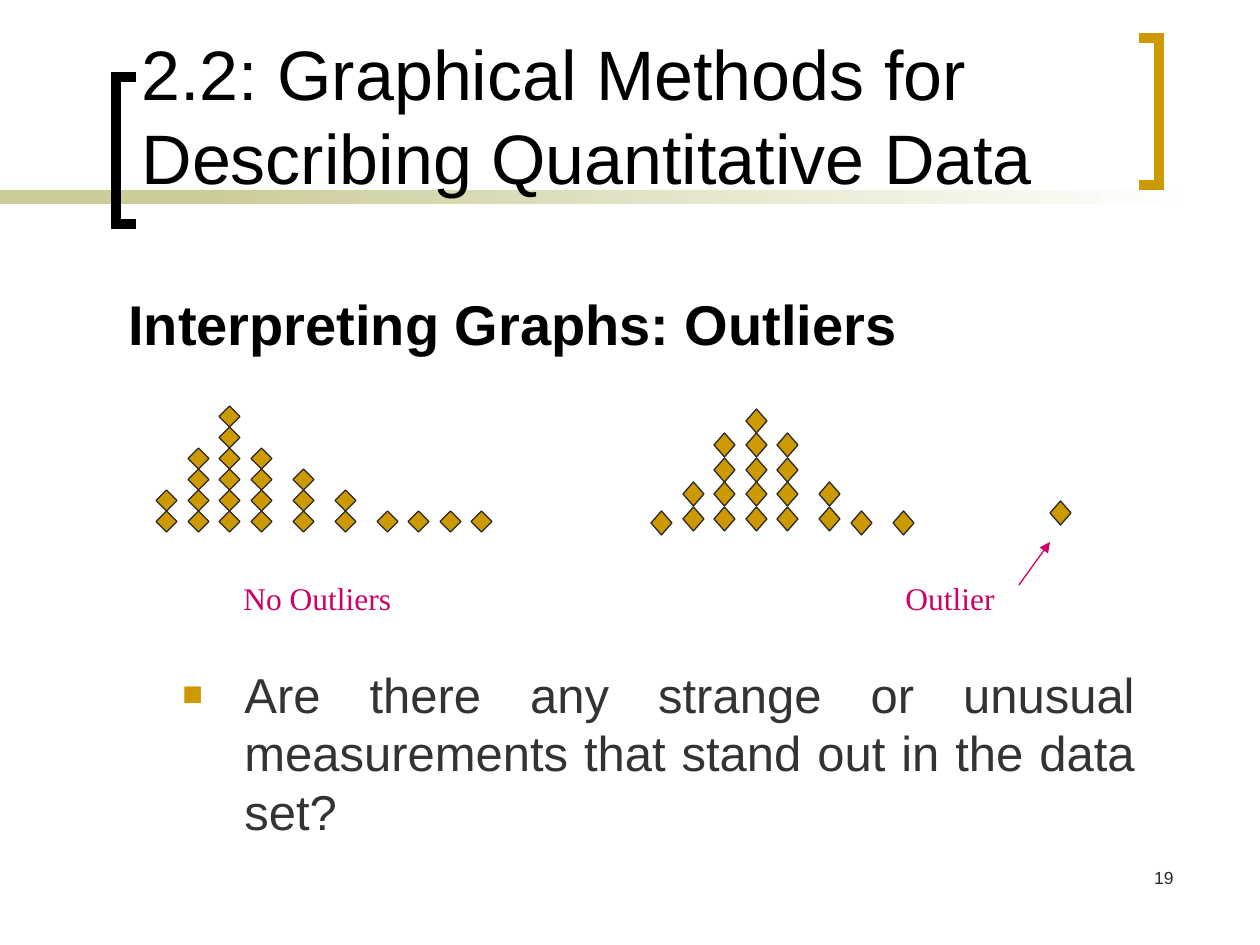
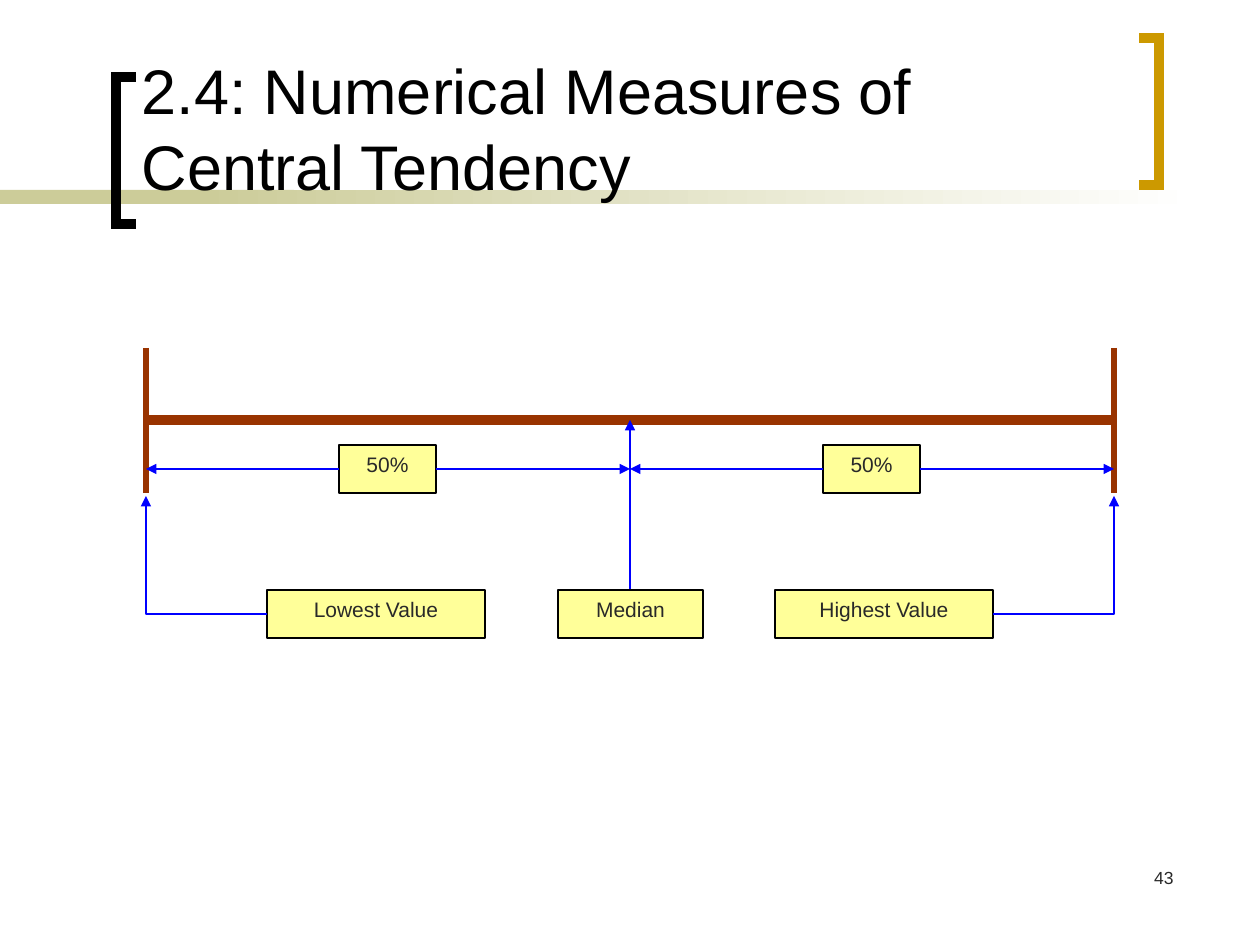
from lxml import etree
from pptx import Presentation
from pptx import util as u
from pptx.dml.color import RGBColor
from pptx.enum import shapes, text
from pptx.oxml import ns

PX = 914400 / 126

BLACK = RGBColor(0x00, 0x00, 0x00)
WHITE = RGBColor(0xFF, 0xFF, 0xFF)
CHARCOAL = RGBColor(0x29, 0x29, 0x29)
GREY = RGBColor(0x33, 0x33, 0x33)
GOLD = RGBColor(0xCC, 0x99, 0x00)
SAND = RGBColor(0xCC, 0xCC, 0x99)
YELLOW = RGBColor(0xFF, 0xFF, 0x99)
MAGENTA = RGBColor(0xCC, 0x00, 0x66)
BROWN = RGBColor(0x99, 0x33, 0x00)
BLUE = RGBColor(0x00, 0x00, 0xFF)

LEFT, CENTER, RIGHT, JUSTIFY = (
    text.PP_ALIGN.LEFT, text.PP_ALIGN.CENTER, text.PP_ALIGN.RIGHT, text.PP_ALIGN.JUSTIFY)
TOP, BOTTOM = text.MSO_ANCHOR.TOP, text.MSO_ANCHOR.BOTTOM
RECTANGLE, DIAMOND = shapes.MSO_SHAPE.RECTANGLE, shapes.MSO_SHAPE.DIAMOND


def emu(*lengths):
    return [u.Emu(round(length * PX)) for length in lengths]


def add_element(parent, tag, **attributes):
    return etree.SubElement(parent, ns.qn(tag), attributes)


class Deck:
    font = "Arial"

    def __init__(self):
        self.presentation = Presentation()
        self.presentation.slide_width = u.Inches(10)
        self.presentation.slide_height = u.Inches(7.5)
        self.slide = None

    def start_slide(self, title_lines, title_top, title_size, number):
        layout = self.presentation.slide_layouts[5]
        self.slide = self.presentation.slides.add_slide(layout)
        self.shape(RECTANGLE, (0, 190, 294, 14), SAND)
        fade = self.shape(RECTANGLE, (199, 190, 998, 14), SAND)
        fade.fill.gradient()
        fade.fill.gradient_angle = 0
        for stop, color, position in zip(fade.fill.gradient_stops, (SAND, WHITE), (0, 1)):
            stop.color.rgb = color
            stop.position = position
        self.bracket(136, 116, 77, 224, BLACK)
        self.bracket(1139, 1159, 38, 185, GOLD)

        title = self.slide.shapes.title
        title.left, title.top, title.width, title.height = emu(129, title_top, 987, 195)
        self.set_text(title, title_lines, title_size, BLACK, anchor=BOTTOM)
        # The title is read and drawn above the band
        self.slide.shapes._spTree.append(title._element)
        self.text((924, 861, 262, 63), number, 10, CHARCOAL, align=RIGHT)

    def set_text(self, shape, lines, size, color, align=LEFT, anchor=TOP, bold=False, font=None):
        frame = shape.text_frame
        frame.word_wrap = True
        frame.auto_size = text.MSO_AUTO_SIZE.NONE
        frame.vertical_anchor = anchor
        frame.margin_left = frame.margin_right = u.Inches(0.1)
        frame.margin_top = frame.margin_bottom = u.Inches(0.05)
        paragraph = frame.paragraphs[0]
        paragraph.alignment = align
        for index, line in enumerate(lines.split("\n")):
            if index:
                paragraph.add_line_break()
            run = paragraph.add_run()
            run.text = line
            run.font.name = font or self.font
            run.font.size = u.Pt(size)
            run.font.bold = bold
            run.font.color.rgb = color
        return paragraph

    def text(self, box, lines, size, color, **style):
        shape = self.slide.shapes.add_textbox(*emu(*box))
        return self.set_text(shape, lines, size, color, **style)

    def bullet(self, box, lines, size, color):
        paragraph = self.text(box, lines, size, color, align=JUSTIFY)
        properties = paragraph._p.get_or_add_pPr()
        indent = emu(62)[0]
        properties.set("marL", str(indent))
        properties.set("indent", str(-indent))
        add_element(add_element(properties, "a:buClr"), "a:srgbClr", val=str(GOLD))
        add_element(properties, "a:buSzPct", val="70000")
        add_element(properties, "a:buFont", typeface=self.font)
        add_element(properties, "a:buChar", char="■")

    def shape(self, kind, box, fill, line=None):
        shape = self.slide.shapes.add_shape(kind, *emu(*box))
        shape.shadow.inherit = False
        shape.fill.solid()
        shape.fill.fore_color.rgb = fill
        if line is None:
            shape.line.fill.background()
        else:
            shape.line.color.rgb = line
            shape.line.width = u.Pt(0.75)
        return shape

    def label(self, box, words):
        shape = self.shape(RECTANGLE, box, YELLOW, BLACK)
        self.set_text(shape, words, 12, CHARCOAL, align=CENTER)

    def bracket(self, tip, spine, top, bottom, color):
        builder = self.slide.shapes.build_freeform(tip, top, scale=PX)
        builder.add_line_segments([(spine, top), (spine, bottom), (tip, bottom)], close=False)
        shape = builder.convert_to_shape()
        shape.shadow.inherit = False
        shape.fill.background()
        shape.line.color.rgb = color
        shape.line.width = u.Pt(6)
        add_element(shape._element.spPr.get_or_add_ln(), "a:miter", lim="800000")

    def line(self, start, end, color, width=0.75, arrow=False, bent=False):
        kind = shapes.MSO_CONNECTOR.ELBOW if bent else shapes.MSO_CONNECTOR.STRAIGHT
        connector = self.slide.shapes.add_connector(kind, *emu(*start, *end))
        connector.line.color.rgb = color
        connector.line.width = u.Pt(width)
        properties = connector._element.spPr
        if bent:
            properties.find(ns.qn("a:prstGeom")).set("prst", "bentConnector2")
        if arrow:
            add_element(properties.get_or_add_ln(), "a:tailEnd", type="triangle")
        add_element(properties, "a:effectLst")

    def dot_plot(self, columns, pair_height):
        """Stack diamonds; each column is (left, baseline, count)."""
        for left, baseline, count in columns:
            for level in range(1, count + 1):
                top = baseline - pair_height * level // 2
                self.shape(DIAMOND, (left, top, 21, pair_height // 2), GOLD, CHARCOAL)


def add_outliers_slide(deck):
    deck.start_slide("2.2: Graphical Methods for Describing Quantitative Data", 10, 40, "19")
    deck.text((116, 270, 1071, 93), "Interpreting Graphs: Outliers", 32, BLACK,
              anchor=BOTTOM, bold=True)
    deck.bullet((170, 658, 977, 192),
                "Are there any strange or unusual measurements that stand out in the data set?",
                28, GREY)

    lefts = (156, 188, 219, 251, 293, 335, 377, 408, 440, 471)
    counts = (2, 4, 6, 4, 3, 2, 1, 1, 1, 1)
    deck.dot_plot([(left, 532, count) for left, count in zip(lefts, counts)], 42)
    deck.text((231, 573, 242, 50), "No Outliers", 18, MAGENTA, font="Times New Roman")

    deck.dot_plot([(651, 535, 1), (683, 531, 2), (714, 531, 4), (746, 531, 5), (777, 531, 4),
                   (819, 531, 2), (851, 535, 1), (893, 535, 1), (1050, 525, 1)], 49)
    deck.text((893, 573, 147, 50), "Outlier", 18, MAGENTA, font="Times New Roman")
    deck.line((1019, 585), (1050, 542), MAGENTA, arrow=True)


def add_median_slide(deck):
    deck.start_slide("2.4: Numerical Measures of\nCentral Tendency", 14, 36, "43")
    lowest, median, highest = 146, 630, 1114
    axis, half_level, label_top, label_middle = 420, 469, 590, 614
    half_width = 97

    deck.line((lowest, axis), (highest, axis), BROWN, width=6)
    deck.line((median, label_top), (median, axis), BLUE, arrow=True)
    for end in (lowest, highest):
        deck.line((end, 348), (end, 493), BROWN, width=3)

    for start, end in ((lowest, median), (median, highest)):
        left = (start + end - half_width) // 2
        deck.label((left, 445, half_width, 48), "50%")
        deck.line((left, half_level), (start, half_level), BLUE, arrow=True)
        deck.line((left + half_width, half_level), (end, half_level), BLUE, arrow=True)

    deck.label((267, label_top, 218, 48), "Lowest Value")
    deck.label((558, label_top, 145, 48), "Median")
    deck.label((775, label_top, 218, 48), "Highest Value")
    deck.line((267, label_middle), (lowest, 496), BLUE, arrow=True, bent=True)
    deck.line((993, label_middle), (highest, 496), BLUE, arrow=True, bent=True)


def main():
    deck = Deck()
    add_outliers_slide(deck)
    add_median_slide(deck)
    deck.presentation.save("out.pptx")


if __name__ == "__main__":
    main()
